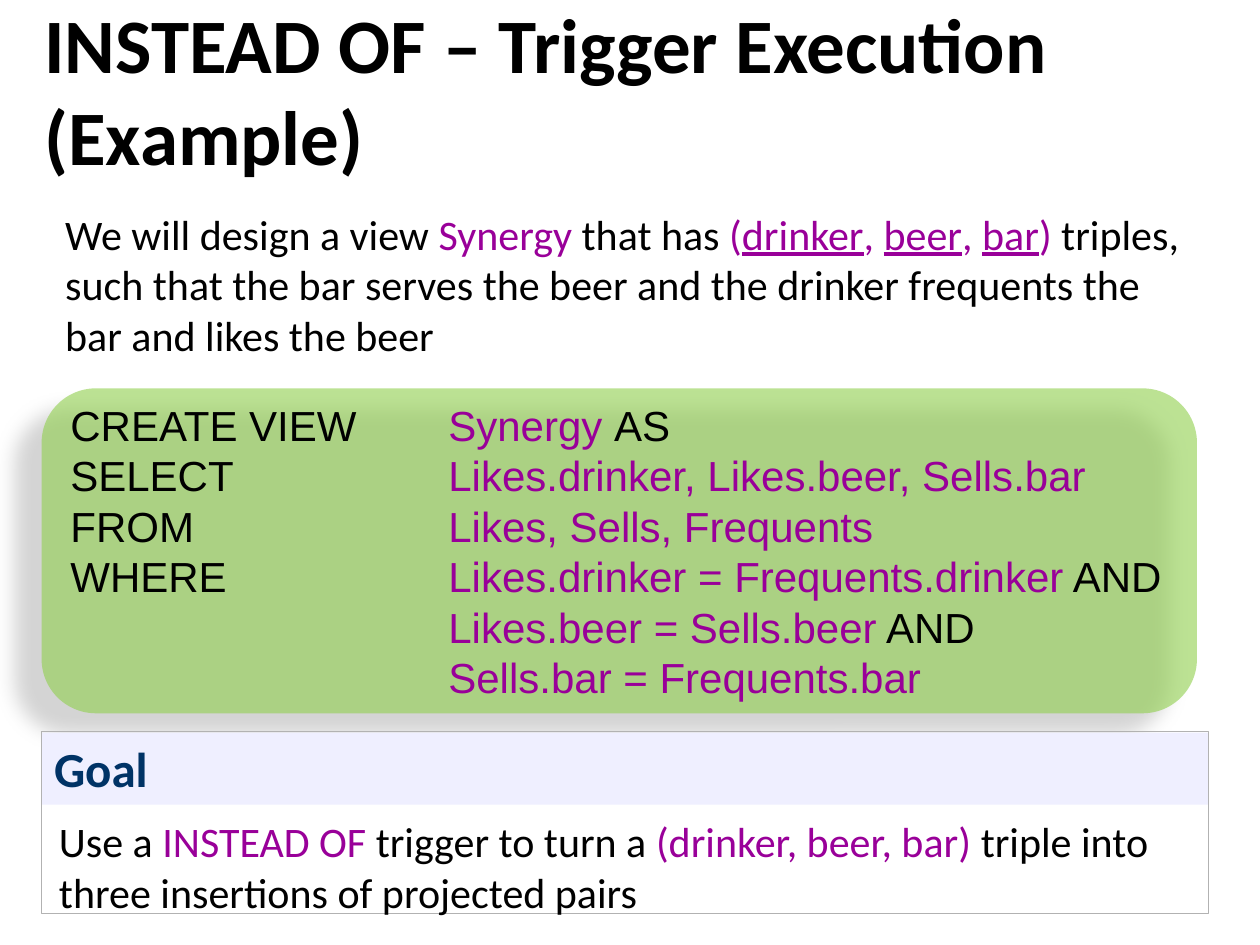
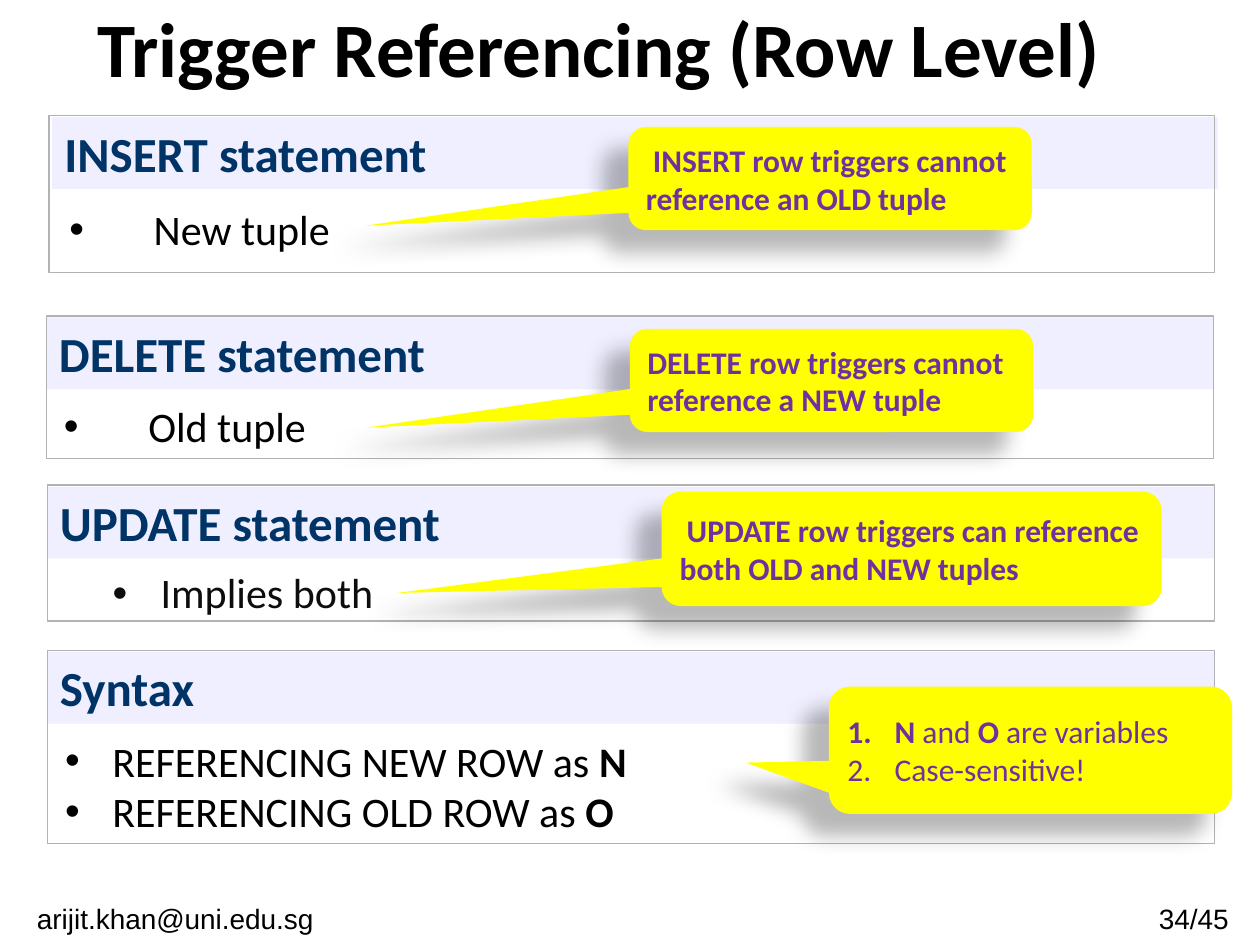
from dataclasses import dataclass

from lxml import etree
from pptx import Presentation
from pptx.dml.color import RGBColor
from pptx.enum.shapes import MSO_SHAPE
from pptx.enum.text import MSO_ANCHOR, MSO_AUTO_SIZE, PP_ALIGN
from pptx.oxml.ns import qn
from pptx.util import Cm, Pt


@dataclass(frozen=True)
class Theme:
    black: str = "000000"
    soft_black: str = "0D0D0D"
    keyword: str = "990099"
    heading: str = "003366"
    note: str = "7030A0"
    band: str = "EFEFFF"
    frame: str = "B2B2B2"
    code_fill: str = "92D050"
    note_fill: str = "FFFF00"
    sans: str = "Calibri"
    code: str = "Arial"
    title_size: int = 44
    heading_size: int = 28
    body_size: int = 24
    note_size: int = 18
    footer_size: int = 16


THEME = Theme()


def style(color, size, name=THEME.sans, **extra):
    return color, {"name": name, "size": Pt(size), "bold": False, **extra}


STYLES = {
    "title": style(THEME.black, THEME.title_size, bold=True),
    "heading": style(THEME.heading, THEME.heading_size, bold=True),
    "body": style(THEME.black, THEME.body_size),
    "body soft": style(THEME.soft_black, THEME.body_size),
    "body bold": style(THEME.black, THEME.body_size, bold=True),
    "keyword": style(THEME.keyword, THEME.body_size),
    "key": style(THEME.keyword, THEME.body_size, underline=True),
    "code": style(THEME.black, THEME.body_size, THEME.code),
    "code name": style(THEME.keyword, THEME.body_size, THEME.code),
    "note": style(THEME.note, THEME.note_size),
    "note bold": style(THEME.note, THEME.note_size, bold=True),
    "footer": style(THEME.black, THEME.footer_size, THEME.code),
}


def set_values(target, values):
    for name, value in values.items():
        setattr(target, name, value)


def place(shape, box):
    set_values(shape, dict(zip(("left", "top", "width", "height"), map(Cm, box))))


def add_element(parent, tag, **attributes):
    element = etree.SubElement(parent, qn(tag))
    for name, value in attributes.items():
        element.set(name, str(value))
    return element


def set_list_marker(paragraph, marker, indent, hanging):
    properties = paragraph._p.get_or_add_pPr()
    properties.set("marL", str(Cm(indent)))
    properties.set("indent", str(-Cm(hanging)))
    if marker == "bullet":
        add_element(properties, "a:buFont", typeface=THEME.code)
        add_element(properties, "a:buChar", char="•")
    elif marker == "number":
        add_element(properties, "a:buAutoNum", type="arabicPeriod")
    else:
        add_element(properties, "a:buNone")


def write(shape, paragraphs, anchor=MSO_ANCHOR.TOP, align=PP_ALIGN.LEFT,
          marker=None, indent=0, hanging=0, spacing=1.0):
    frame = shape.text_frame
    set_values(frame, {"word_wrap": True, "auto_size": MSO_AUTO_SIZE.NONE,
                       "vertical_anchor": anchor})
    for index, runs in enumerate(paragraphs):
        paragraph = frame.add_paragraph() if index else frame.paragraphs[0]
        set_values(paragraph, {"alignment": align, "line_spacing": spacing,
                               "space_before": Pt(0)})
        set_list_marker(paragraph, marker, indent, hanging)
        for text, style_name in runs:
            run = paragraph.add_run()
            run.text = text
            color, values = STYLES[style_name]
            set_values(run.font, values)
            run.font.color.rgb = RGBColor.from_string(color)


def add_text(slide, box, paragraphs, **layout):
    shape = slide.shapes.add_textbox(*map(Cm, box))
    write(shape, paragraphs, **layout)


def add_shape(slide, kind, box, fill=None, line=None, adjustments=()):
    shape = slide.shapes.add_shape(kind, *map(Cm, box))
    shape.shadow.inherit = False
    if fill:
        shape.fill.solid()
        shape.fill.fore_color.rgb = RGBColor.from_string(fill)
    else:
        shape.fill.background()
    if line:
        shape.line.color.rgb = RGBColor.from_string(line)
        shape.line.width = Pt(0.75)
    else:
        shape.line.fill.background()
    for index, value in enumerate(adjustments):
        shape.adjustments[index] = value
    return shape


def add_soft_shadow(shape):
    effects = shape._element.spPr.find(qn("a:effectLst"))
    shadow = add_element(effects, "a:outerShdw", blurRad=Pt(11.8), dist=Pt(19.7),
                         dir=141 * 60000, algn="ctr", rotWithShape=0)
    color = add_element(shadow, "a:srgbClr", val=THEME.black)
    add_element(color, "a:alpha", val=28000)


def start_slide(presentation, title, box, align):
    slide = presentation.slides.add_slide(presentation.slide_layouts[1])
    place(slide.shapes.title, box)
    write(slide.shapes.title, [[(title, "title")]], anchor=MSO_ANCHOR.MIDDLE, align=align)
    return slide, slide.placeholders[1]


def add_panel(slide, box, heading, paragraphs, body=None, drop=1.58, inset=0, **layout):
    left, top, width, height = box
    band = add_shape(slide, MSO_SHAPE.RECTANGLE,
                     (left + inset, top + 0.03, width, 1.45), fill=THEME.band)
    write(band, [[(heading, "heading")]])
    add_shape(slide, MSO_SHAPE.RECTANGLE, box, line=THEME.frame)
    body_box = (left + 0.1 + inset, top + drop, width - 0.1, height - drop)
    if body is None:
        add_text(slide, body_box, paragraphs, **layout)
    else:
        place(body, body_box)
        write(body, paragraphs, **layout)


def add_code_block(slide, box, clauses, expressions):
    left, top, width, height = box
    block = add_shape(slide, MSO_SHAPE.ROUNDED_RECTANGLE, box, THEME.code_fill,
                      adjustments=[0.167])
    color = block._element.spPr.find(qn("a:solidFill"))[0]
    add_element(color, "a:alpha", val=61000)
    add_soft_shadow(block)
    margin, column = 0.33, 7.62
    text_top, text_height = top + 0.1, height - 0.1
    add_text(slide, (left + margin, text_top, column, text_height),
             [[(clause, "code")] for clause in clauses])
    add_text(slide, (left + margin + column, text_top, width - margin - column, text_height),
             [[(names, "code name"), (ending, "code")] if ending else [(names, "code name")]
              for names, ending in expressions])


def add_callout(slide, box, pointer, paragraphs, **layout):
    callout = add_shape(slide, MSO_SHAPE.ROUNDED_RECTANGULAR_CALLOUT, box,
                        THEME.note_fill, adjustments=[*pointer, 0.167])
    add_soft_shadow(callout)
    write(callout, paragraphs, anchor=MSO_ANCHOR.MIDDLE, **layout)


def add_footer(slide, email, page):
    for text, left, width in ((email, 0.13, 6.81), (page, 22.59, 2.95)):
        add_text(slide, (left, 18.05, width, 0.99), [[(text, "footer")]],
                 align=PP_ALIGN.CENTER)


def build_execution_slide(presentation):
    slide, intro = start_slide(presentation, "INSTEAD OF – Trigger Execution (Example)",
                               (0.64, 0.84, 22.86, 1.9), PP_ALIGN.LEFT)
    place(intro, (1.06, 4.07, 23.29, 3.33))
    write(intro, [[
        ("We will design a view ", "body"), ("Synergy", "keyword"), (" that has ", "body"),
        ("(", "keyword"), ("drinker", "key"), (", ", "keyword"), ("beer", "key"),
        (", ", "keyword"), ("bar", "key"), (")", "keyword"),
        (" triples, such that the bar serves the beer and the drinker frequents "
         "the bar and likes the beer", "body"),
    ]])
    add_code_block(slide, (0.84, 7.83, 23.29, 6.55),
                   ("CREATE VIEW", "SELECT", "FROM", "WHERE"), (
                       ("Synergy ", "AS"),
                       ("Likes.drinker, Likes.beer, Sells.bar", ""),
                       ("Likes, Sells, Frequents", ""),
                       ("Likes.drinker = Frequents.drinker", " AND"),
                       ("Likes.beer = Sells.beer", " AND"),
                       ("Sells.bar = Frequents.bar", ""),
                   ))
    add_panel(slide, (0.84, 14.74, 23.52, 3.68), "Goal", [[
        ("Use a ", "body"), ("INSTEAD OF", "keyword"), (" trigger to turn a ", "body"),
        ("(drinker, beer, bar)", "keyword"),
        (" triple into three insertions of projected pairs", "body"),
    ]])


def build_referencing_slide(presentation):
    slide, syntax = start_slide(presentation, "Trigger Referencing (Row Level)",
                                (0.64, 0, 22.86, 1.9), PP_ALIGN.CENTER)
    add_footer(slide, "arijit.khan@uni.edu.sg", "34/45")

    wide = {"marker": "bullet", "indent": 1.7, "hanging": 1.7}
    nested = {"marker": "bullet", "indent": 1.93, "hanging": 0.97, "spacing": 0.9}
    narrow = {"indent": 0.95, "hanging": 0.95}
    add_panel(slide, (0.99, 2.33, 23.5, 3.17), "INSERT statement",
              [[("New tuple", "body")]], drop=1.65, inset=0.06, **wide)
    add_panel(slide, (0.94, 6.37, 23.52, 2.87), "DELETE statement",
              [[("Old tuple", "body")]], **wide)
    add_panel(slide, (0.96, 9.78, 23.52, 2.74), "UPDATE statement",
              [[("Implies both", "body soft")]], drop=1.64, **nested)
    add_panel(slide, (0.96, 13.11, 23.52, 3.89), "Syntax",
              [[(f"REFERENCING {age} ROW as ", "body"), (variable, "body bold")]
               for age, variable in (("NEW", "N"), ("OLD", "O"))],
              body=syntax, marker="bullet", **narrow)

    add_callout(slide, (16.71, 13.84, 8.13, 2.57), (-0.707, 0.097), [
        [("N ", "note bold"), ("and ", "note"), ("O", "note bold"),
         (" are variables", "note")],
        [("Case-sensitive!", "note")],
    ], marker="number", **narrow)
    for box, pointer, text in (
        ((12.67, 2.56, 8.13, 2.08), (-1.154, 0.458),
         " INSERT row triggers cannot reference an OLD tuple"),
        ((12.7, 6.63, 8.13, 2.08), (-1.154, 0.458),
         "DELETE row triggers cannot reference a NEW tuple"),
        ((13.34, 9.91, 10.08, 2.31), (-1.029, 0.385),
         " UPDATE row triggers can reference both OLD and NEW tuples"),
    ):
        add_callout(slide, box, pointer, [[(text, "note bold")]])


def main():
    presentation = Presentation()
    set_values(presentation, {"slide_width": Cm(25.4), "slide_height": Cm(19.05)})
    build_execution_slide(presentation)
    build_referencing_slide(presentation)
    presentation.save("out.pptx")


if __name__ == "__main__":
    main()
